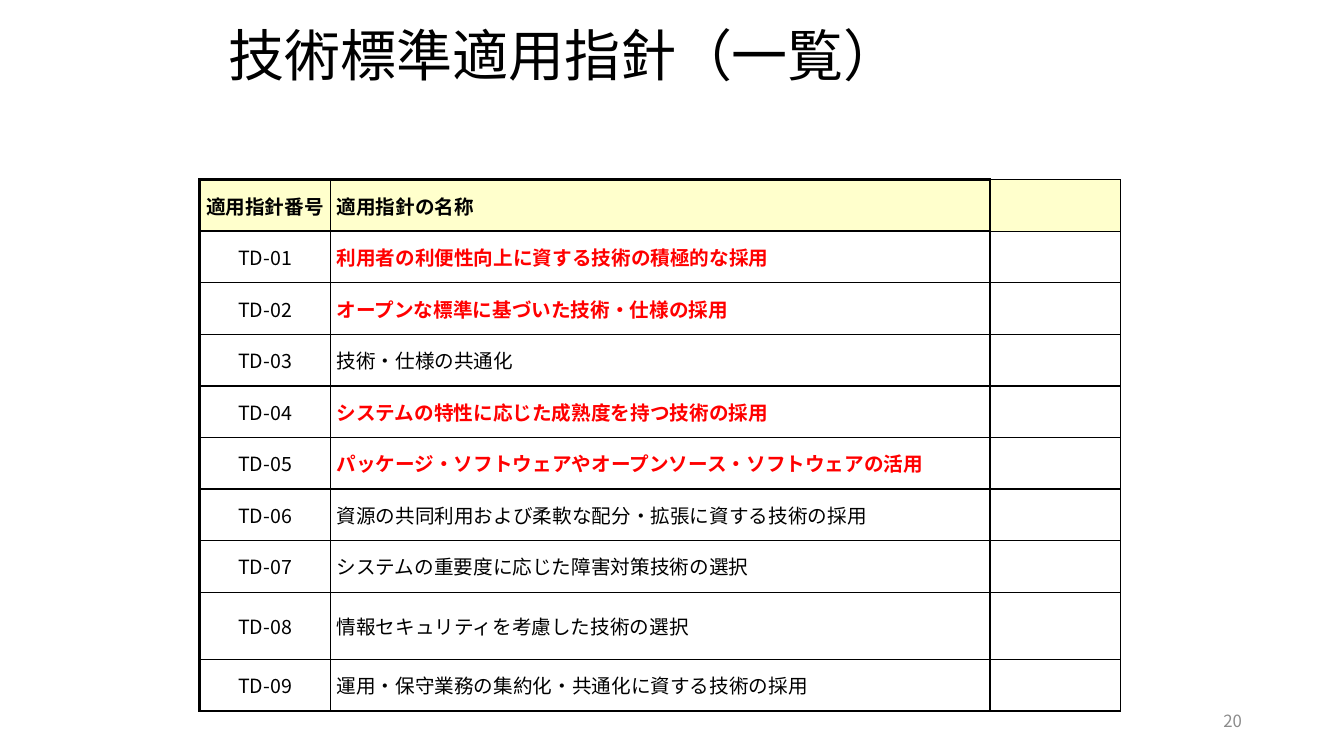
from lxml import etree
from pptx import Presentation
from pptx.dml.color import RGBColor
from pptx.enum.text import MSO_ANCHOR, PP_ALIGN
from pptx.oxml.ns import qn
from pptx.util import Pt

LEFT, CENTER, RIGHT = PP_ALIGN.LEFT, PP_ALIGN.CENTER, PP_ALIGN.RIGHT
MIDDLE = MSO_ANCHOR.MIDDLE
BLACK = RGBColor(0x00, 0x00, 0x00)
RED = RGBColor(0xFF, 0x00, 0x00)
GRAY = RGBColor(0x8C, 0x8C, 0x8C)
CREAM = RGBColor(0xFF, 0xFF, 0xCC)
THIN, MEDIUM, THICK = 1, 1.5, 2.25

COLUMN_WIDTHS = [93.5, 471, 93.5]
ROW_HEIGHT = 36.85
ROW_HEIGHTS = [ROW_HEIGHT] * 8 + [48, ROW_HEIGHT]
HEADERS = ["適用指針番号", "適用指針の名称", ""]
GUIDELINES = [
    ("利用者の利便性向上に資する技術の積極的な採用", True),
    ("オープンな標準に基づいた技術・仕様の採用", True),
    ("技術・仕様の共通化", False),
    ("システムの特性に応じた成熟度を持つ技術の採用", True),
    ("パッケージ・ソフトウェアやオープンソース・ソフトウェアの活用", True),
    ("資源の共同利用および柔軟な配分・拡張に資する技術の採用", False),
    ("システムの重要度に応じた障害対策技術の選択", False),
    ("情報セキュリティを考慮した技術の選択", False),
    ("運用・保守業務の集約化・共通化に資する技術の採用", False),
]


def write_text(frame, text, font_name, size=14, color=BLACK, bold=False,
               align=LEFT, line_spacing=None):
    """Write one formatted paragraph into a text frame."""
    paragraph = frame.paragraphs[0]
    paragraph.alignment = align
    paragraph.line_spacing = line_spacing
    if not text:
        paragraph.font.size = Pt(size)
        return
    run = paragraph.add_run()
    run.text = text
    run.font.size = Pt(size)
    run.font.bold = bold
    run.font.color.rgb = color
    run.font.name = font_name
    east_asian = etree.SubElement(run.font._element, qn("a:ea"))
    east_asian.set("typeface", font_name)


class SlideBuilder:
    """Hold the style and the current slide."""

    def __init__(self, slide, font_name):
        self.slide = slide
        self.font_name = font_name

    def add_text(self, text, left, top, width, height, **text_format):
        shape = self.slide.shapes.add_textbox(Pt(left), Pt(top), Pt(width), Pt(height))
        frame = shape.text_frame
        frame.word_wrap = True
        frame.vertical_anchor = MIDDLE
        write_text(frame, text, self.font_name, **text_format)

    def add_table(self, left, top, widths, heights):
        shape = self.slide.shapes.add_table(
            len(heights), len(widths), Pt(left), Pt(top), Pt(sum(widths)), Pt(sum(heights)))
        table = shape.table
        table.first_row = table.horz_banding = False
        for column, width in zip(table.columns, widths):
            column.width = Pt(width)
        for row, height in zip(table.rows, heights):
            row.height = Pt(height)
        return table

    def fill_cell(self, cell, text, borders, fill=None, **text_format):
        cell.margin_left = cell.margin_right = Pt(4.3)
        cell.margin_top = cell.margin_bottom = Pt(2.9)
        cell.vertical_anchor = MIDDLE
        write_text(cell.text_frame, text, self.font_name, **text_format)
        properties = cell._tc.get_or_add_tcPr()
        for side, width in zip("LRTB", borders):
            line = etree.SubElement(properties, qn(f"a:ln{side}"), w=str(Pt(width)))
            solid = etree.SubElement(line, qn("a:solidFill"))
            etree.SubElement(solid, qn("a:srgbClr"), val=str(BLACK))
        if fill is None:
            cell.fill.background()
        else:
            cell.fill.solid()
            cell.fill.fore_color.rgb = fill

    def add_guidelines(self):
        table = self.add_table(142.6, 128.4, COLUMN_WIDTHS, ROW_HEIGHTS)
        rows = [HEADERS] + [
            [f"TD-{number:02}", name, ""]
            for number, (name, _) in enumerate(GUIDELINES, 1)]
        last = len(rows) - 1
        vertical = [THICK, THIN, THICK, THIN]
        for row_index, texts in enumerate(rows):
            header = row_index == 0
            key = not header and GUIDELINES[row_index - 1][1]
            for column_index, text in enumerate(texts):
                above = {0: THICK, 1: MEDIUM}.get(row_index, THIN)
                below = {0: MEDIUM, last: THICK}.get(row_index, THIN)
                if column_index == 2:
                    above = below = THIN
                red = key and column_index == 1
                self.fill_cell(
                    table.cell(row_index, column_index), text,
                    (vertical[column_index], vertical[column_index + 1], above, below),
                    fill=CREAM if header else None,
                    color=RED if red else BLACK, bold=header or red,
                    align=CENTER if column_index == 0 else LEFT)


def main():
    presentation = Presentation()
    presentation.slide_width, presentation.slide_height = Pt(960), Pt(540)
    slide = presentation.slides.add_slide(presentation.slide_layouts[6])
    builder = SlideBuilder(slide, "Noto Sans CJK JP")
    builder.add_text("技術標準適用指針（一覧）", 156.2, 21.6, 648, 40.3, size=40, line_spacing=0.9)
    builder.add_guidelines()
    builder.add_text("20", 678.2, 500.4, 216, 28.8, size=12, color=GRAY, align=RIGHT)
    presentation.save("out.pptx")


if __name__ == "__main__":
    main()
